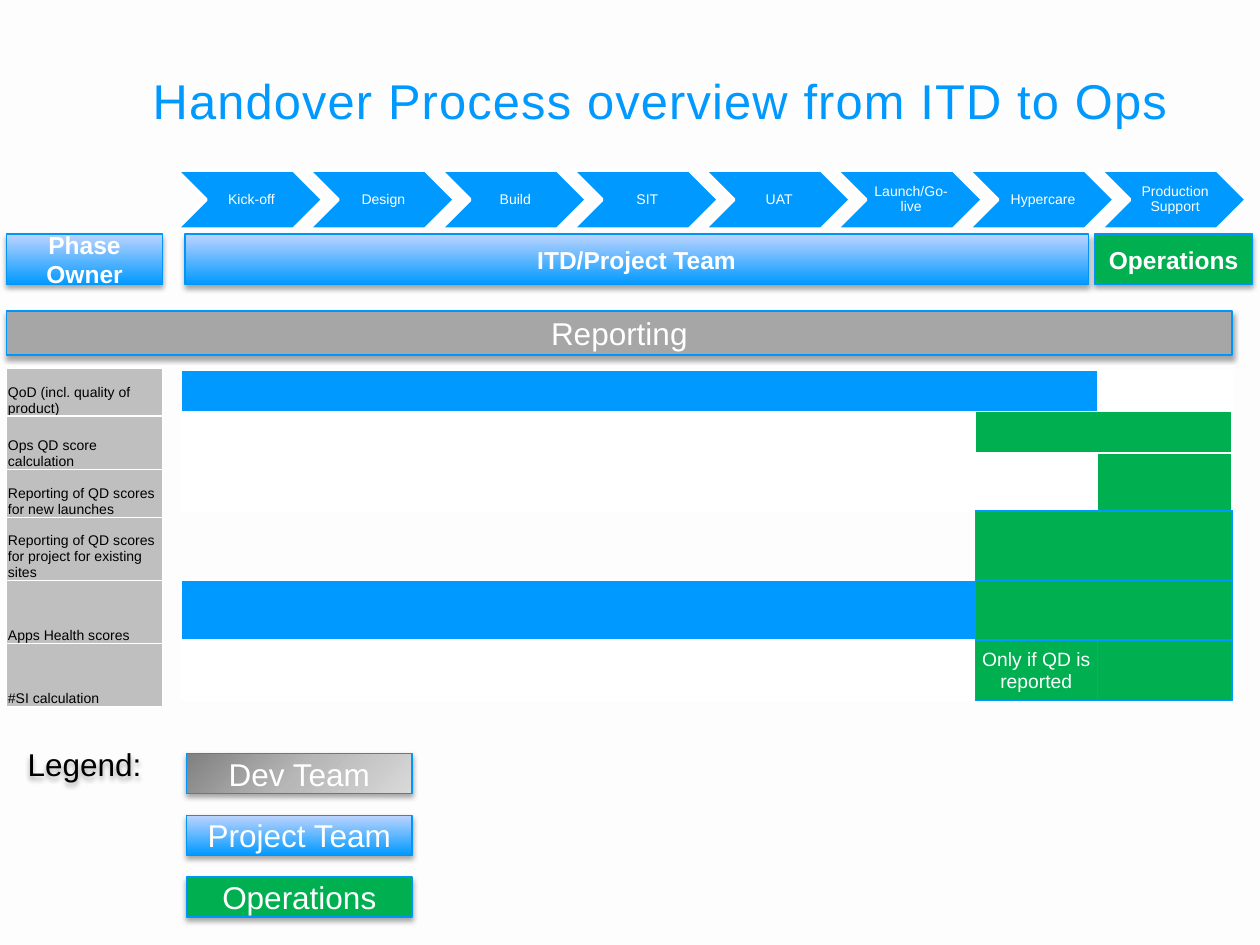
from lxml import etree
from pptx import Presentation
from pptx.dml.color import RGBColor
from pptx.enum.shapes import MSO_SHAPE
from pptx.enum.text import MSO_ANCHOR, MSO_AUTO_SIZE, PP_ALIGN
from pptx.oxml import parse_xml
from pptx.oxml.ns import nsdecls, qn
from pptx.util import Cm, Pt

CENTER, LEFT = PP_ALIGN.CENTER, PP_ALIGN.LEFT
MIDDLE, BOTTOM = MSO_ANCHOR.MIDDLE, MSO_ANCHOR.BOTTOM
RECT, CHEVRON = MSO_SHAPE.RECTANGLE, MSO_SHAPE.CHEVRON
TITLE_ONLY = 5

C = {"back": "FDFDFD", "blue": "0099FF", "edge": "0096F9", "pale": "BDD4FF",
     "green": "00B050", "grey": "A6A6A6", "label": "BFBFBF",
     "white": "FFFFFF", "black": "000000"}
# Gradients: stops (percent, colour) and clockwise angle
PROJECT = ([(0, C["blue"]), (100, C["pale"])], 270)
DEV = ([(0, "808080"), (50, "B7B7B7"), (100, "D9D9D9")], 45)

# Content
TITLE = "Handover Process overview from ITD to Ops"
PHASES = ["Kick-off", "Design", "Build", "SIT", "UAT", "Launch/Go-live",
          "Hypercare", "Production Support"]
OWNERS = [("Phase Owner", 0.13, 3.15, PROJECT),
          ("ITD/Project Team", 3.73, 18.21, PROJECT),
          ("Operations", 22.07, 3.18, C["green"])]
LEGEND = [("Dev Team", DEV), ("Project Team", PROJECT), ("Operations", C["green"])]
LABELS = ["QoD (incl. quality of product)", "Ops QD score calculation",
          "Reporting of QD scores for new launches",
          "Reporting of QD scores for project for existing sites",
          "Apps Health scores", "#SI calculation"]
LABEL_ROWS = [0.97, 1.07, 0.97, 1.27, 1.27, 1.27]
# Timeline: colour per column, columns to merge, first and end column outlined blue
TIMELINE = [(("blue", "blue", "white"), (0, 1), None),
            (("white", "green", "green"), (1, 2), None),
            (("white", "white", "green"), (0, 1), None),
            ((None, "green", "green"), (1, 2), (1, 3)),
            (("blue", "green", "green"), (1, 2), (1, 3)),
            (("white", "green", "green"), None, (1, 3))]
TIMELINE_COLS = [16.0, 2.46, 2.72]
TIMELINE_ROWS = [0.83, 0.83, 1.17, 1.4, 1.2, 1.22]
NOTE = "Only if QD is reported"


def rgb(value):
    return RGBColor.from_string(value)


def write(tf, text, size, color, bold=False, align=CENTER, anchor=MIDDLE):
    tf.word_wrap = True
    tf.vertical_anchor = anchor
    style(tf.paragraphs[0], text, size, color, bold, align)


def style(p, text, size, color, bold=False, align=CENTER):
    p.text, p.alignment = text, align
    p.font.name, p.font.size, p.font.bold = "Arial", Pt(size), bold
    p.font.color.rgb = rgb(color)


def add_shadow(sp):
    sp.shadow.inherit = False
    effects = sp._element.spPr.find(qn("a:effectLst"))
    effects.append(parse_xml(
        f'<a:outerShdw {nsdecls("a")} blurRad="{Pt(3.1)}" dist="{Pt(1.8)}" '
        'dir="5400000" rotWithShape="0"><a:srgbClr val="000000">'
        '<a:alpha val="35000"/></a:srgbClr></a:outerShdw>'))


def paint(sp, fill):
    if isinstance(fill, str):
        sp.fill.solid()
        sp.fill.fore_color.rgb = rgb(fill)
        return
    stops, angle = fill
    marks = "".join(f'<a:gs pos="{pos * 1000}"><a:srgbClr val="{color}"/></a:gs>'
                    for pos, color in stops)
    sp._element.spPr.find(qn("a:ln")).addprevious(parse_xml(
        f'<a:gradFill {nsdecls("a")} rotWithShape="1"><a:gsLst>{marks}</a:gsLst>'
        f'<a:lin ang="{angle * 60000}" scaled="0"/></a:gradFill>'))


def add_bar(s, text, x, y, w, h, fill, size, bold=False):
    sp = s.shapes.add_shape(RECT, Cm(x), Cm(y), Cm(w), Cm(h))
    sp.line.color.rgb, sp.line.width = rgb(C["edge"]), Pt(0.75)
    paint(sp, fill)
    add_shadow(sp)
    write(sp.text_frame, text, size, C["white"], bold)


def format_cell(cell, fill, borders):
    cell.margin_left = cell.margin_right = cell.margin_top = Cm(0.03)
    cell.margin_bottom = 0
    if fill:
        cell.fill.solid()
        cell.fill.fore_color.rgb = rgb(fill)
    else:
        cell.fill.background()
    tc_pr = cell._tc.get_or_add_tcPr()
    for i, (side, color) in enumerate(zip("LRTB", borders)):
        ln = etree.Element(qn(f"a:ln{side}"), w=str(Pt(1)))
        solid = etree.SubElement(ln, qn("a:solidFill"))
        etree.SubElement(solid, qn("a:srgbClr"), val=color)
        tc_pr.insert(i, ln)


def add_grid(s, x, y, widths, heights):
    tbl = s.shapes.add_table(len(heights), len(widths), Cm(x), Cm(y),
                             Cm(sum(widths)), Cm(sum(heights))).table
    tbl.first_row = tbl.horz_banding = False
    for col, w in zip(tbl.columns, widths):
        col.width = Cm(w)
    for row, h in zip(tbl.rows, heights):
        row.height = Cm(h)
    return tbl


def outlined(r, c):
    if not (0 <= r < len(TIMELINE)) or TIMELINE[r][2] is None:
        return False
    first, end = TIMELINE[r][2]
    return first <= c < end


def main():
    prs = Presentation()
    prs.slide_width, prs.slide_height = Cm(25.4), Cm(19.05)
    s = prs.slides.add_slide(prs.slide_layouts[TITLE_ONLY])
    s.background.fill.solid()
    s.background.fill.fore_color.rgb = rgb(C["back"])

    # Title
    title = s.shapes.title
    title.left, title.top, title.width, title.height = Cm(1.8), Cm(1.24), Cm(23.04), Cm(1.55)
    write(title.text_frame, TITLE, 27.9, C["blue"])
    title.text_frame.auto_size = MSO_AUTO_SIZE.NONE
    title.text_frame.paragraphs[0].runs[0].font._element.set("spc", "70")

    # Phase chevrons
    for i, phase in enumerate(PHASES):
        sp = s.shapes.add_shape(CHEVRON, Cm(3.56 + 2.66 * i), Cm(3.43), Cm(2.95), Cm(1.19))
        sp.shadow.inherit = False
        sp.line.color.rgb, sp.line.width = rgb(C["white"]), Pt(2)
        paint(sp, C["blue"])
        tf = sp.text_frame
        tf.margin_left = Cm(0.1)
        tf.margin_right = tf.margin_top = tf.margin_bottom = Cm(0.03)
        write(tf, phase, 8, C["white"])
        tf.paragraphs[0].line_spacing = 0.9

    # Owner and section bars
    for text, x, w, fill in OWNERS:
        add_bar(s, text, x, 4.72, w, 1.02, fill, 14, True)
    add_bar(s, "Reporting", 0.13, 6.27, 24.71, 0.89, C["grey"], 18)

    # Timeline table
    tbl = add_grid(s, 3.66, 7.47, TIMELINE_COLS, TIMELINE_ROWS)
    for r, (fills, merge, _) in enumerate(TIMELINE):
        for c, fill in enumerate(fills):
            near = [(r, c - 1), (r, c + 1), (r - 1, c), (r + 1, c)]
            borders = [C["blue"] if outlined(r, c) or outlined(*pos) else C["white"]
                       for pos in near]
            format_cell(tbl.cell(r, c), C.get(fill), borders)
        if merge:
            tbl.cell(r, merge[0]).merge(tbl.cell(r, merge[1]))
    note = tbl.cell(5, 1)
    note.vertical_anchor = MIDDLE
    style(note.text_frame.paragraphs[0], NOTE, 11, C["white"])

    # Row labels
    tbl = add_grid(s, 0.13, 7.42, [3.15], LABEL_ROWS)
    for r, label in enumerate(LABELS):
        cell = tbl.cell(r, 0)
        format_cell(cell, C["label"], [C["white"]] * 4)
        cell.vertical_anchor = BOTTOM
        style(cell.text_frame.paragraphs[0], label, 8, C["black"], align=LEFT)

    # Legend
    box = s.shapes.add_textbox(Cm(0.13), Cm(14.99), Cm(3.15), Cm(0.81))
    write(box.text_frame, "Legend:", 18, C["black"])
    add_shadow(box)
    for i, (text, fill) in enumerate(LEGEND):
        add_bar(s, text, 3.76, 15.19 + 1.245 * i, 4.55, 0.81, fill, 18)

    prs.save("out.pptx")


if __name__ == "__main__":
    main()
